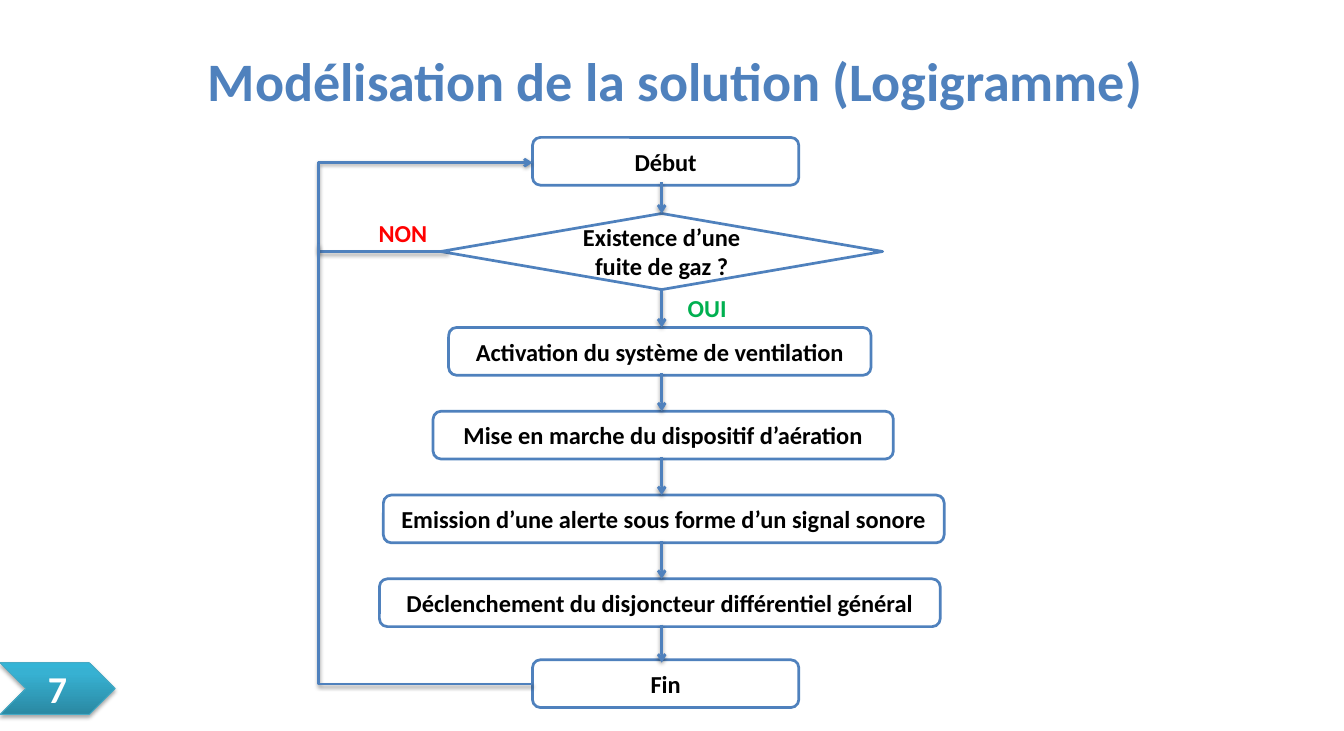
from copy import deepcopy
from dataclasses import dataclass

from lxml import etree
from pptx import Presentation
from pptx.dml.color import RGBColor
from pptx.enum import shapes as kinds, text as txt
from pptx.oxml.ns import qn
from pptx.util import Pt


@dataclass(frozen=True)
class Theme:
    font: str = "Calibri"
    blue: str = "4F81BD"
    white: str = "FFFFFF"
    black: str = "000000"
    no: str = "FF0000"
    yes: str = "00B050"
    badge_line: str = "46AAC5"
    badge_stops: tuple = ((0, "2A88A2"), (0.8, "37B1D2"), (1, "34B4D6"))
    title_size: float = 40
    badge_size: float = 28
    body_size: float = 18
    stroke: float = 2


@dataclass(frozen=True)
class Box:
    left: float
    top: float
    width: float
    height: float

    def emu(self) -> tuple:
        return tuple(Pt(v) for v in (self.left, self.top, self.width, self.height))


@dataclass(frozen=True)
class Node:
    wording: str
    box: Box
    kind: kinds.MSO_SHAPE = kinds.MSO_SHAPE.ROUNDED_RECTANGLE


@dataclass(frozen=True)
class Label:
    wording: str
    box: Box
    colour: str
    size: float


@dataclass(frozen=True)
class Link:
    start: tuple
    end: tuple
    preset: str = "line"
    bend: int | None = None
    arrow: bool = True


THEME = Theme()
NODE_HEIGHT = 35.3
FIRST_ACTION = 241.9
PITCH = 61.9
AXIS = 488.5
ARROW_LENGTH = 28.1

ACTIONS = (
    ("Activation du système de ventilation", 331.2, 311.8),
    ("Mise en marche du dispositif d’aération", 319.7, 339.8),
    ("Emission d’une alerte sous forme d’un signal sonore", 283, 414),
    ("Déclenchement du disjoncteur différentiel général", 280.1, 414),
)
NODES = [
    Node("Début", Box(393.1, 101.5, 196.6, NODE_HEIGHT)),
    Node("Existence d’une fuite de gaz ?", Box(325.4, 157.7, 326.2, 56.2),
         kinds.MSO_SHAPE.FLOWCHART_DECISION),
    *(Node(wording, Box(left, FIRST_ACTION + PITCH * i, width, NODE_HEIGHT))
      for i, (wording, left, width) in enumerate(ACTIONS)),
    Node("Fin", Box(393.1, 487.4, 196.6, NODE_HEIGHT)),
]
LABELS = [
    Label("Modélisation de la solution (Logigramme) ", Box(124.6, 31.7, 756.7, 55.4),
          THEME.blue, THEME.title_size),
    Label("NON", Box(269.3, 157.7, 56.2, 29), THEME.no, THEME.body_size),
    Label("OUI", Box(493.9, 213.1, 56.2, 29), THEME.yes, THEME.body_size),
]
ARROW_TIPS = [FIRST_ACTION + PITCH * i for i in range(len(ACTIONS) + 1)]
LINKS = [
    Link((331.2, 185.8), (393.1, 120.2), "bentConnector3", bend=-154900),
    Link((393.1, 505.4), (235.4, 180), "bentConnector2", arrow=False),
    Link((AXIS, 134.6), (AXIS, 157.7)),
    *(Link((AXIS, tip - ARROW_LENGTH), (AXIS, tip)) for tip in ARROW_TIPS),
]
BADGE = Box(0, 489.6, 85, 38.2)


def rgb(colour: str) -> RGBColor:
    return RGBColor.from_string(colour)


def write(frame, wording: str, size: float, colour: str) -> None:
    frame.word_wrap = True
    frame.text = wording
    paragraph = frame.paragraphs[0]
    paragraph.alignment = txt.PP_ALIGN.CENTER
    font = paragraph.runs[0].font
    font.name, font.size, font.bold = THEME.font, Pt(size), True
    font.color.rgb = rgb(colour)


def outline(line, colour: str, width: float) -> None:
    line.color.rgb = rgb(colour)
    line.width = Pt(width)


def cast_shadow(shape, opacity: int, distance: float) -> None:
    """Add a soft downward shadow; call once the outline is set."""
    effects = etree.SubElement(shape.element.spPr, qn("a:effectLst"))
    shadow = etree.SubElement(effects, qn("a:outerShdw"), blurRad=str(Pt(3.1)),
                              dist=str(Pt(distance)), dir="5400000", rotWithShape="0")
    colour = etree.SubElement(shadow, qn("a:srgbClr"), val=THEME.black)
    etree.SubElement(colour, qn("a:alpha"), val=str(opacity * 1000))


def draw_node(slide, node: Node) -> None:
    shape = slide.shapes.add_shape(node.kind, *node.box.emu())
    shape.shadow.inherit = False
    shape.fill.solid()
    shape.fill.fore_color.rgb = rgb(THEME.white)
    outline(shape.line, THEME.blue, THEME.stroke)
    shape.text_frame.vertical_anchor = txt.MSO_ANCHOR.MIDDLE
    write(shape.text_frame, node.wording, THEME.body_size, THEME.black)


def draw_label(slide, label: Label) -> None:
    frame = slide.shapes.add_textbox(*label.box.emu()).text_frame
    write(frame, label.wording, label.size, label.colour)
    frame.auto_size = txt.MSO_AUTO_SIZE.SHAPE_TO_FIT_TEXT


def draw_link(slide, link: Link) -> None:
    straight = link.preset == "line"
    kind = kinds.MSO_CONNECTOR.STRAIGHT if straight else kinds.MSO_CONNECTOR.ELBOW
    connector = slide.shapes.add_connector(kind, *(Pt(v) for v in link.start + link.end))
    geometry = connector.element.spPr.find(qn("a:prstGeom"))
    geometry.set("prst", link.preset)
    if link.bend is not None:
        etree.SubElement(geometry.find(qn("a:avLst")), qn("a:gd"),
                         name="adj1", fmla=f"val {link.bend}")
    outline(connector.line, THEME.blue, THEME.stroke)
    if link.arrow:
        etree.SubElement(connector.element.spPr.find(qn("a:ln")), qn("a:tailEnd"), type="arrow")
    cast_shadow(connector, 38, 1.6)


def draw_badge(slide, number: str) -> None:
    badge = slide.shapes.add_shape(kinds.MSO_SHAPE.CHEVRON, *BADGE.emu())
    badge.fill.gradient()
    badge.fill.gradient_angle = 90
    stops = badge.element.spPr.find(".//" + qn("a:gsLst"))
    stops.insert(1, deepcopy(stops[0]))
    for stop, (position, colour) in zip(badge.fill.gradient_stops, THEME.badge_stops):
        stop.position = position
        stop.color.rgb = rgb(colour)
    outline(badge.line, THEME.badge_line, 0.75)
    cast_shadow(badge, 35, 1.8)
    badge.text_frame.vertical_anchor = txt.MSO_ANCHOR.MIDDLE
    write(badge.text_frame, number, THEME.badge_size, THEME.white)


def main() -> None:
    deck = Presentation()
    deck.slide_width, deck.slide_height = Pt(992.16), Pt(540)
    slide = deck.slides.add_slide(deck.slide_layouts[6])
    for node in NODES:
        draw_node(slide, node)
    for link in LINKS:
        draw_link(slide, link)
    for label in LABELS:
        draw_label(slide, label)
    draw_badge(slide, "7")
    deck.save("out.pptx")


if __name__ == "__main__":
    main()
